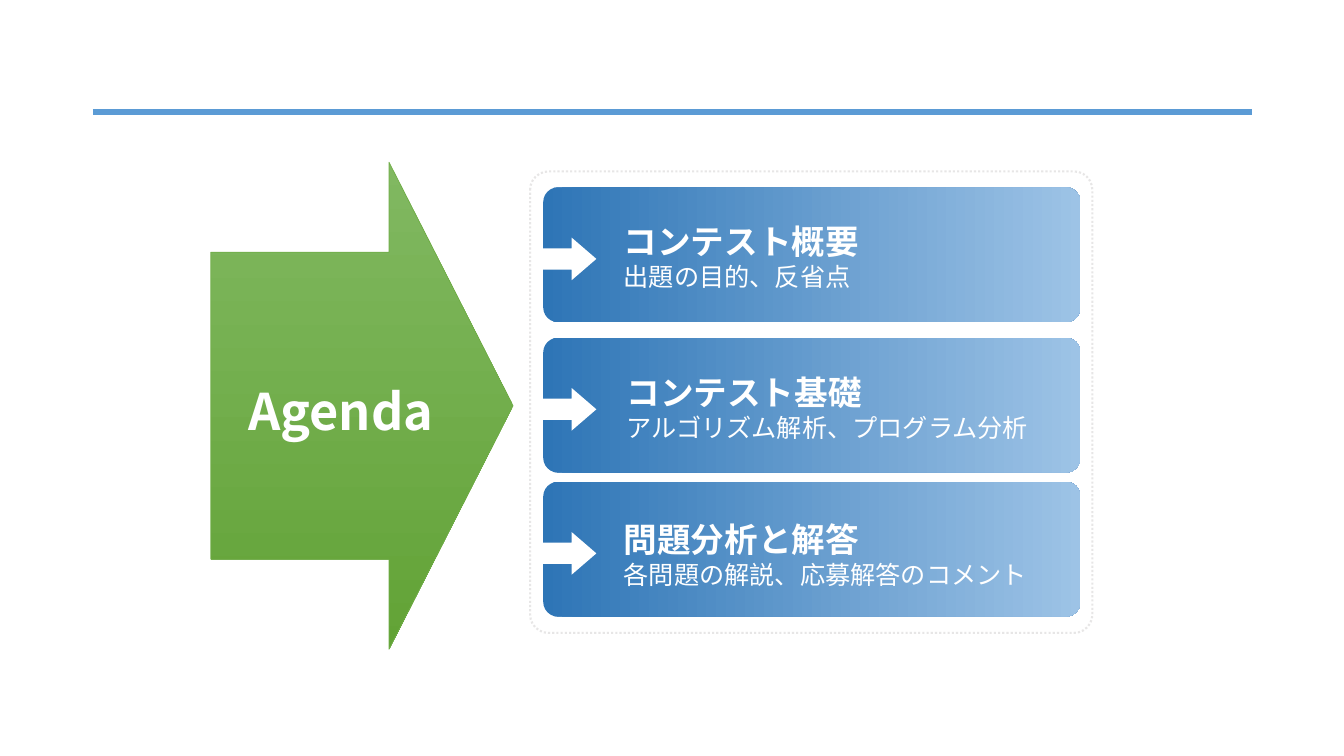
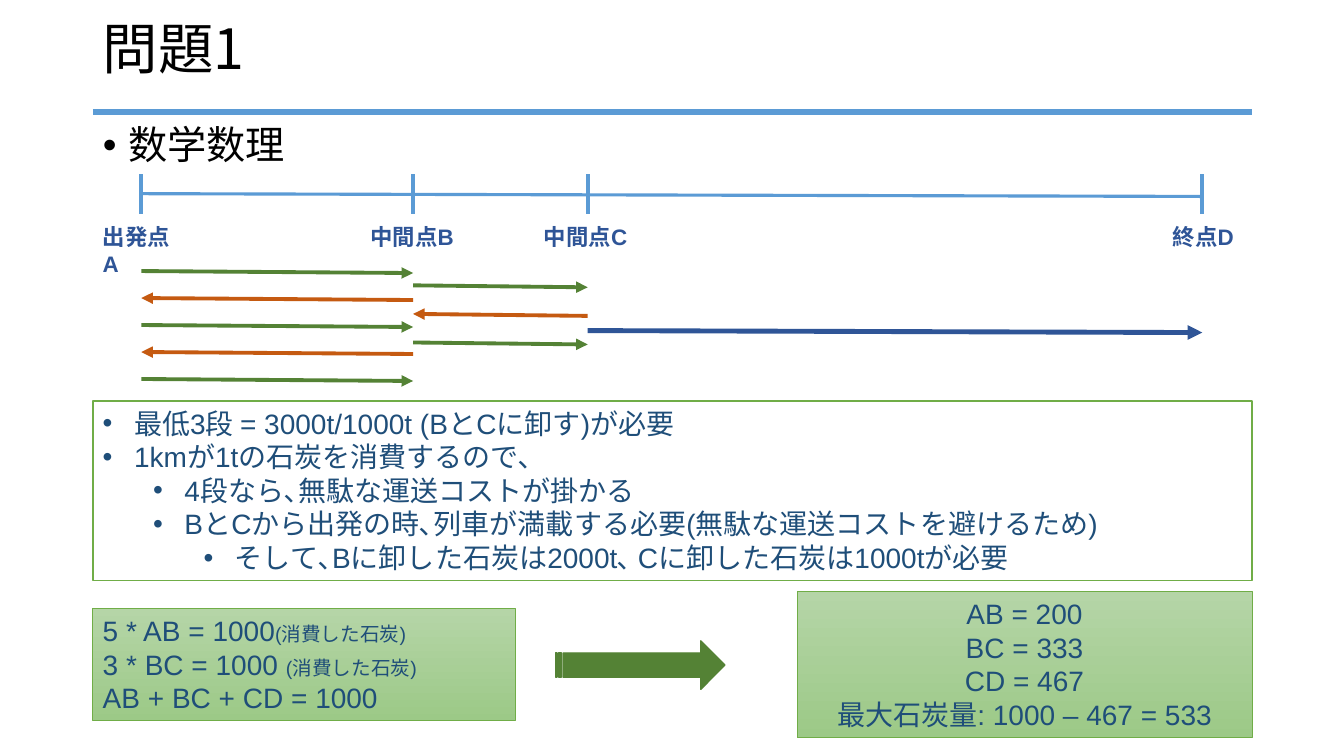
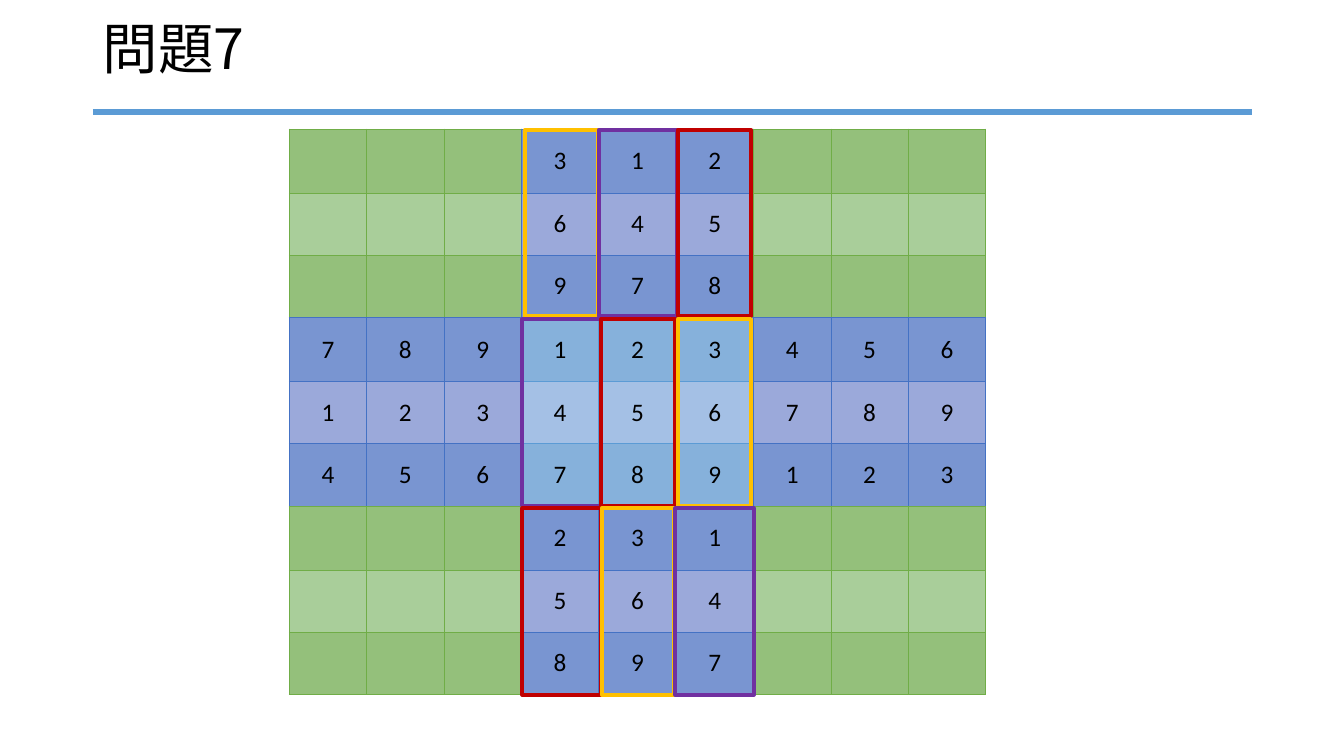
from lxml.etree import Element, SubElement
from pptx import Presentation
from pptx.dml.color import RGBColor
from pptx.enum.dml import MSO_LINE
from pptx.enum.shapes import MSO_CONNECTOR, MSO_SHAPE
from pptx.enum.text import MSO_ANCHOR, MSO_AUTO_SIZE, PP_ALIGN
from pptx.oxml.ns import qn
from pptx.util import Cm, Pt

LEFT, CENTER = PP_ALIGN.LEFT, PP_ALIGN.CENTER
TOP, MIDDLE = MSO_ANCHOR.TOP, MSO_ANCHOR.MIDDLE
RECTANGLE, ROUNDED = MSO_SHAPE.RECTANGLE, MSO_SHAPE.ROUNDED_RECTANGLE
RIGHT_ARROW, STRIPED_ARROW = MSO_SHAPE.RIGHT_ARROW, MSO_SHAPE.STRIPED_RIGHT_ARROW
STRAIGHT = MSO_CONNECTOR.STRAIGHT
DOTTED = MSO_LINE.ROUND_DOT

JAPANESE, LATIN, DIGITS = "Noto Sans CJK JP", "Arial", "Calibri"
WHITE, BLACK = "FFFFFF", "000000"
SKY, NAVY, INK = "5B9BD5", "2F5597", "1F4E79"
GREEN, DARK_GREEN, ORANGE = "70AD47", "548235", "C55A11"
PURPLE, YELLOW, RED = "7030A0", "FFC000", "C00000"
PALE_GREENS = ("B5D5A7", "9CC987")

# Shared areas, in centimetres
MARGIN, CONTENT_WIDTH = 2.34, 29.21
RULE_Y = 2.82
TITLE_AREA = (MARGIN, 0.38, CONTENT_WIDTH, 1.85)
BODY_AREA = (MARGIN, 3.05, CONTENT_WIDTH, 13.64)

# Agenda: card top, text left, text top, heading, detail
AGENDA = [
    (4.72, 15.47, 5.44, "コンテスト概要", "出題の目的、反省点"),
    (8.51, 15.54, 9.25, "コンテスト基礎", "アルゴリズム解析、プログラム分析"),
    (12.14, 15.47, 12.95, "問題分析と解答", "各問題の解説、応募解答のコメント"),
]

# Railway: position on the axis, label left, label width, label
STATIONS = [
    (3.56, 2.34, 2.59, "出発点A"),
    (10.41, 9.09, 2.64, "中間点B"),
    (14.81, 13.46, 2.64, "中間点C"),
    (30.3, 29.31, 2.08, "終点D"),
]
# First station, number of trips, first y, step, outward colour, width
TRIPS = [
    (0, 5, 6.83, 0.68, DARK_GREEN, 2.75),
    (1, 3, 7.19, 0.72, DARK_GREEN, 2.75),
    (2, 1, 8.33, 0, NAVY, 3.5),
]
TRIP_SLOPE = 0.05
REASONING = [
    (0, "最低3段 = 3000t/1000t (BとCに卸す)が必要"),
    (0, "1kmが1tの石炭を消費するので､"),
    (1, "4段なら､無駄な運送コストが掛かる"),
    (1, "BとCから出発の時､列車が満載する必要(無駄な運送コストを避けるため)"),
    (2, "そして､Bに卸した石炭は2000t､ Cに卸した石炭は1000tが必要"),
]
EQUATIONS = [
    ("5 * AB = 1000", "(消費した石炭)"),
    ("3 * BC = 1000 ", "(消費した石炭)"),
    ("AB + BC + CD = 1000", ""),
]
RESULTS = ["AB = 200", "BC = 333", "CD = 467", "最大石炭量: 1000 – 467 = 533"]

# Number blocks: rows of three blocks, each with its digits row by row
EMPTY = ("", "", "")
BLOCKS = [
    [EMPTY, ("312", "645", "978"), EMPTY],
    [("789", "123", "456"), ("123", "456", "789"), ("456", "789", "123")],
    [EMPTY, ("231", "564", "897"), EMPTY],
]
# Border, band fill, middle row fill
GREEN_BLOCK = (GREEN, "94C07B", "A9CE9A")
BLUE_BLOCK = ("4472C4", "7995D1", "9BA9DA")
CENTRE_BLOCK = (SKY, "86B1DB", "A4C0E5")
GRID_LEFT, GRID_TOP = 7.29, 3.25
BLOCK_WIDTH, BLOCK_HEIGHT = 5.85, 4.75
ROW_HEIGHTS = (1.61, 1.57, 1.57)
# Frames around the columns of the middle blocks: colour, width
COLUMN_FRAMES = [
    [(YELLOW, 1.83), (PURPLE, 1.98), (RED, 1.83)],
    [(PURPLE, 1.98), (RED, 1.85), (YELLOW, 1.83)],
    [(RED, 1.98), (YELLOW, 1.83), (PURPLE, 1.98)],
]
FRAME_CENTER_X, FRAME_CENTER_Y = 14.15, 5.62
FRAME_STEP_X, FRAME_STEP_Y, FRAME_HEIGHT = 1.93, 4.77, 4.7


def rgb(colour):
    return RGBColor.from_string(colour)


def area(left, top, width, height):
    return Cm(left), Cm(top), Cm(width), Cm(height)


def place(shape, box):
    shape.left, shape.top, shape.width, shape.height = area(*box)


def paint(shape, fill=None, line=None, line_width=1, angle=0):
    """Fill with nothing, one colour or a pair of gradient colours."""
    shape.shadow.inherit = False
    if fill is None:
        shape.fill.background()
    elif isinstance(fill, str):
        shape.fill.solid()
        shape.fill.fore_color.rgb = rgb(fill)
    else:
        shape.fill.gradient()
        shape.fill.gradient_angle = angle
        for stop, colour in zip(shape.fill.gradient_stops, fill):
            stop.color.rgb = rgb(colour)
    if line is None:
        shape.line.fill.background()
    else:
        shape.line.color.rgb = rgb(line)
        shape.line.width = Pt(line_width)


def add_shape(slide, kind, box, adjustments=(), **paint_options):
    shape = slide.shapes.add_shape(kind, *area(*box))
    for index, value in enumerate(adjustments):
        shape.adjustments[index] = value
    paint(shape, **paint_options)
    return shape


def add_line(slide, start, end, colour, width, arrow=False):
    line = slide.shapes.add_connector(STRAIGHT, *area(*start, *end))
    line.line.color.rgb = rgb(colour)
    line.line.width = Pt(width)
    properties = line.element.spPr
    if arrow:
        SubElement(properties.find(qn("a:ln")), qn("a:tailEnd"), type="triangle")
    SubElement(properties, qn("a:effectLst"))
    return line


def set_font(paragraph, size, colour, name, bold=False):
    font = paragraph.font
    font.size, font.bold, font.name = Pt(size), bold, name
    font.color.rgb = rgb(colour)
    defaults = paragraph._p.pPr.find(qn("a:defRPr"))
    SubElement(defaults, qn("a:ea"), typeface=JAPANESE)


def set_bullet(paragraph, indent, level=0):
    """Give a hanging bullet; call after set_font."""
    properties = paragraph._p.pPr
    paragraph.level = level
    properties.set("marL", str(Cm(indent + 1.27 * level)))
    properties.set("indent", str(-Cm(indent)))
    defaults = properties.find(qn("a:defRPr"))
    defaults.addprevious(Element(qn("a:buFont"), typeface="Arial"))
    defaults.addprevious(Element(qn("a:buChar"), char="•"))


def write(shape, texts, size, colour, name, bold=False, align=LEFT, anchor=TOP):
    """Write one paragraph per text and return the paragraphs."""
    frame = shape.text_frame
    frame.word_wrap = True
    frame.auto_size = MSO_AUTO_SIZE.NONE
    frame.vertical_anchor = anchor
    frame.text = "\n".join(texts)
    for paragraph in frame.paragraphs:
        paragraph.alignment = align
        set_font(paragraph, size, colour, name, bold)
    return frame.paragraphs


def add_text(slide, box, texts, *style, **options):
    return write(slide.shapes.add_textbox(*area(*box)), texts, *style, **options)


def set_title(slide, text):
    title = slide.shapes.title
    place(title, TITLE_AREA)
    [paragraph] = write(title, [text], 39.6, BLACK, JAPANESE, anchor=MIDDLE)
    paragraph.line_spacing = 0.9


def add_master_rule(presentation, slide):
    """Draw the rule under the title and move it to the slide master."""
    rule = add_line(slide, (MARGIN, RULE_Y), (MARGIN + CONTENT_WIDTH, RULE_Y), SKY, 3.75)
    presentation.slide_master.shapes.element.append(rule.element)


def build_agenda(slide):
    add_shape(slide, RIGHT_ARROW, (5.31, 4.09, 7.62, 12.27), (0.63, 0.41),
              fill=("81B861", "62A336"), angle=270, line=GREEN, line_width=0.5)
    add_text(slide, (5.51, 9.45, 6.15, 1.8), ["Agenda"], 36, WHITE, JAPANESE,
             bold=True, align=CENTER, anchor=MIDDLE)
    panel = add_shape(slide, ROUNDED, (13.36, 4.32, 14.17, 11.63), (0.04,),
                      line="E7E6E6", line_width=1.5)
    panel.line.dash_style = DOTTED
    for card_top, text_left, text_top, heading, detail in AGENDA:
        add_shape(slide, ROUNDED, (13.69, card_top, 13.54, 3.4), (0.11,),
                  fill=("2E75B6", "9DC3E6"))
        add_shape(slide, RIGHT_ARROW, (13.56, card_top + 1.27, 1.47, 1.07),
                  (0.5, 0.58), fill=WHITE)
        paragraphs = add_text(slide, (text_left, text_top, 11.2, 2.06),
                              [heading, detail], 24, WHITE, JAPANESE, bold=True)
        paragraphs[1].font.size = Pt(18)
        paragraphs[1].font.bold = False


def build_railway(slide):
    set_title(slide, "問題1")
    body = slide.placeholders[1]
    place(body, BODY_AREA)
    [topic] = write(body, ["数学数理"], 28, BLACK, JAPANESE)
    topic.line_spacing = 0.9
    topic.space_before = Pt(10)
    set_bullet(topic, 0.64)

    stops = [station[0] for station in STATIONS]
    add_line(slide, (stops[0], 4.88), (stops[-1], 4.95), SKY, 2.25)
    for x, label_left, label_width, label in STATIONS:
        add_line(slide, (x, 4.39), (x, 5.38), SKY, 2.75)
        add_text(slide, (label_left, 5.51, label_width, 0.94), [label],
                 16, NAVY, LATIN, bold=True)

    for first, count, top, step, outward_colour, width in TRIPS:
        for trip in range(count):
            y = top + trip * step
            near, far = (stops[first], y), (stops[first + 1], y + TRIP_SLOPE)
            if trip % 2:
                add_line(slide, far, near, ORANGE, width, arrow=True)
            else:
                add_line(slide, near, far, outward_colour, width, arrow=True)

    reasoning = add_shape(slide, RECTANGLE, (MARGIN, 10.11, CONTENT_WIDTH, 4.52),
                          fill=WHITE, line=GREEN)
    lines = write(reasoning, [text for _, text in REASONING], 20, INK, LATIN)
    for paragraph, (level, _) in zip(lines, REASONING):
        set_bullet(paragraph, 0.79, level)

    pale_box = dict(fill=PALE_GREENS, angle=270, line=GREEN, line_width=0.5)
    equations = add_shape(slide, RECTANGLE, (MARGIN, 15.34, 10.64, 2.82), **pale_box)
    lines = write(equations, [formula for formula, _ in EQUATIONS], 20, INK, LATIN)
    for paragraph, (_, remark) in zip(lines, EQUATIONS):
        if remark:
            run = paragraph.add_run()
            run.text = remark
            run.font.size = Pt(14)
    results = add_shape(slide, RECTANGLE, (20.09, 14.91, 11.46, 3.68), **pale_box)
    write(results, RESULTS, 20, INK, LATIN, align=CENTER)
    add_shape(slide, STRIPED_ARROW, (14, 16.15, 4.27, 1.22),
              fill=DARK_GREEN, line=DARK_GREEN)


def set_borders(cell, colour):
    properties = cell._tc.get_or_add_tcPr()
    for index, side in enumerate(("a:lnL", "a:lnR", "a:lnT", "a:lnB")):
        border = Element(qn(side), w=str(Pt(0.5)))
        fill = SubElement(border, qn("a:solidFill"))
        SubElement(fill, qn("a:srgbClr"), val=colour)
        properties.insert(index, border)


def add_block(slide, left, top, digits, colours):
    border, band, middle = colours
    table = slide.shapes.add_table(
        3, 3, *area(left, top, BLOCK_WIDTH, BLOCK_HEIGHT)).table
    table.first_row = table.horz_banding = False
    for row, (height, row_digits) in enumerate(zip(ROW_HEIGHTS, digits)):
        table.rows[row].height = Cm(height)
        for column in range(3):
            cell = table.cell(row, column)
            cell.fill.solid()
            cell.fill.fore_color.rgb = rgb(middle if row == 1 else band)
            set_borders(cell, border)
            if row_digits:
                cell.vertical_anchor = MIDDLE
                cell.text = row_digits[column]
                paragraph = cell.text_frame.paragraphs[0]
                paragraph.alignment = CENTER
                set_font(paragraph, 18, BLACK, DIGITS)


def build_number_grid(slide):
    set_title(slide, "問題7")
    for row, blocks in enumerate(BLOCKS):
        for column, digits in enumerate(blocks):
            if digits == EMPTY:
                colours = GREEN_BLOCK
            else:
                colours = CENTRE_BLOCK if row == column == 1 else BLUE_BLOCK
            add_block(slide, GRID_LEFT + column * BLOCK_WIDTH,
                      GRID_TOP + row * BLOCK_HEIGHT, digits, colours)
    for row, frames in enumerate(COLUMN_FRAMES):
        for column, (colour, width) in enumerate(frames):
            left = FRAME_CENTER_X + column * FRAME_STEP_X - width / 2
            top = FRAME_CENTER_Y + row * FRAME_STEP_Y - FRAME_HEIGHT / 2
            add_shape(slide, RECTANGLE, (left, top, width, FRAME_HEIGHT),
                      line=colour, line_width=2.75)


def add_slide(presentation, layout_name):
    layout = presentation.slide_layouts.get_by_name(layout_name)
    return presentation.slides.add_slide(layout)


def main():
    presentation = Presentation()
    presentation.slide_width, presentation.slide_height = Cm(33.87), Cm(19.05)
    agenda = add_slide(presentation, "Blank")
    add_master_rule(presentation, agenda)
    build_agenda(agenda)
    build_railway(add_slide(presentation, "Title and Content"))
    build_number_grid(add_slide(presentation, "Title Only"))
    presentation.save("out.pptx")


if __name__ == "__main__":
    main()
